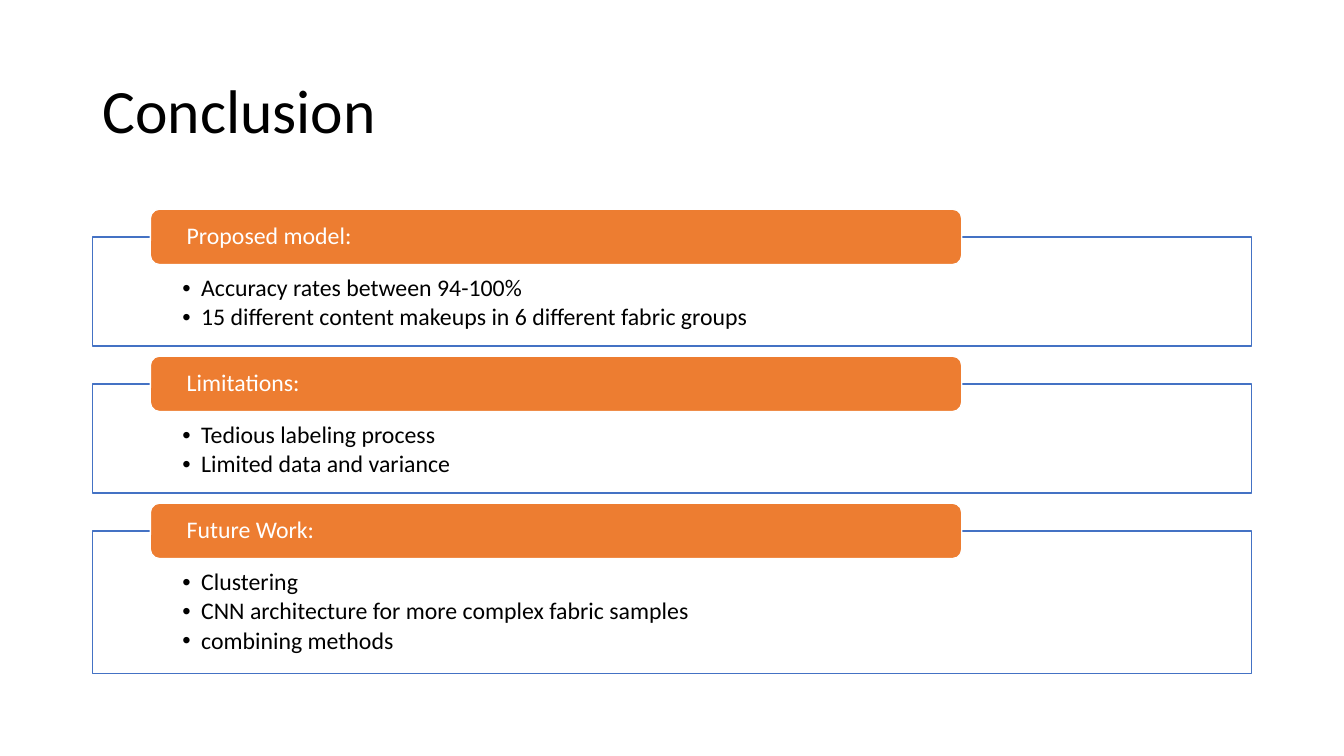
from lxml.etree import SubElement
from pptx import Presentation
from pptx.dml.color import RGBColor
from pptx.enum.shapes import MSO_SHAPE
from pptx.enum.text import MSO_ANCHOR, PP_ALIGN
from pptx.oxml.ns import qn
from pptx.util import Inches, Pt

UNIT = Inches(13.333) / 160
LEFT, WIDE = 11, 138
TOP, GAP = 28.2, 4.5
PARTS = [
    ("Proposed model:", [
        "Accuracy rates between 94-100%",
        "15 different content makeups in 6 different fabric groups",
    ]),
    ("Limitations:", [
        "Tedious labeling process",
        "Limited data and variance",
    ]),
    ("Future Work:", [
        "Clustering",
        "CNN architecture for more complex fabric samples",
        "combining methods",
    ]),
]


def grid(*cells):
    return [round(cell * UNIT) for cell in cells]


def color(code):
    return RGBColor.from_string(code)


def write(shape, lines, size, ink, pads, anchor):
    frame = shape.text_frame
    frame.word_wrap = True
    frame.vertical_anchor = anchor
    (frame.margin_left, frame.margin_top,
     frame.margin_right, frame.margin_bottom) = grid(*pads)
    frame.text = "\n".join(lines)
    for para in frame.paragraphs:
        para.alignment = PP_ALIGN.LEFT
        para.line_spacing = 0.9
        font = para.runs[0].font
        font.name, font.size = "Calibri", Pt(size)
        font.color.rgb = color(ink)


def bullet(para):
    para.space_after = Pt(2.4)
    props = para._p.get_or_add_pPr()
    indent = grid(2.25)[0]
    props.set("marL", str(indent))
    props.set("indent", str(-indent))
    SubElement(props, qn("a:buFont"), typeface="Arial")
    SubElement(props, qn("a:buChar"), char="•")


def block(slide, kind, place, fill, line):
    shape = slide.shapes.add_shape(kind, *grid(*place))
    shape.shadow.inherit = False
    shape.fill.solid()
    shape.fill.fore_color.rgb = color(fill)
    shape.line.color.rgb = color(line)
    shape.line.width = Pt(1)
    return shape


def title(slide, text):
    box = slide.shapes.add_textbox(*grid(LEFT, 4.8, WIDE, 17.4))
    write(box, [text], 44, "000000", (1.2, 0.6, 1.2, 0.6), MSO_ANCHOR.MIDDLE)


def panel(slide, top, high, items):
    box = block(slide, MSO_SHAPE.RECTANGLE, (LEFT, top, WIDE, high),
                "FFFFFF", "4472C4")
    tint = box.fill._xPr.find(".//" + qn("a:srgbClr"))
    SubElement(tint, qn("a:alpha"), val="90000")
    write(box, items, 17, "000000", (10.7, 4.7, 10.7, 1.6), MSO_ANCHOR.TOP)
    for para in box.text_frame.paragraphs:
        bullet(para)


def header(slide, top, text):
    tab = block(slide, MSO_SHAPE.ROUNDED_RECTANGLE,
                (17.9, top - 3.3, 96.6, 6.6), "ED7D31", "FFFFFF")
    write(tab, [text], 17, "FFFFFF", (4, 0, 4, 0), MSO_ANCHOR.MIDDLE)


def main():
    deck = Presentation()
    deck.slide_width, deck.slide_height = grid(160, 90)
    slide = deck.slides.add_slide(deck.slide_layouts[6])
    title(slide, "Conclusion")
    top = TOP
    for text, items in PARTS:
        high = 5 + 4 * len(items)
        panel(slide, top, high, items)
        header(slide, top, text)
        top += high + GAP
    deck.save("out.pptx")


if __name__ == "__main__":
    main()
